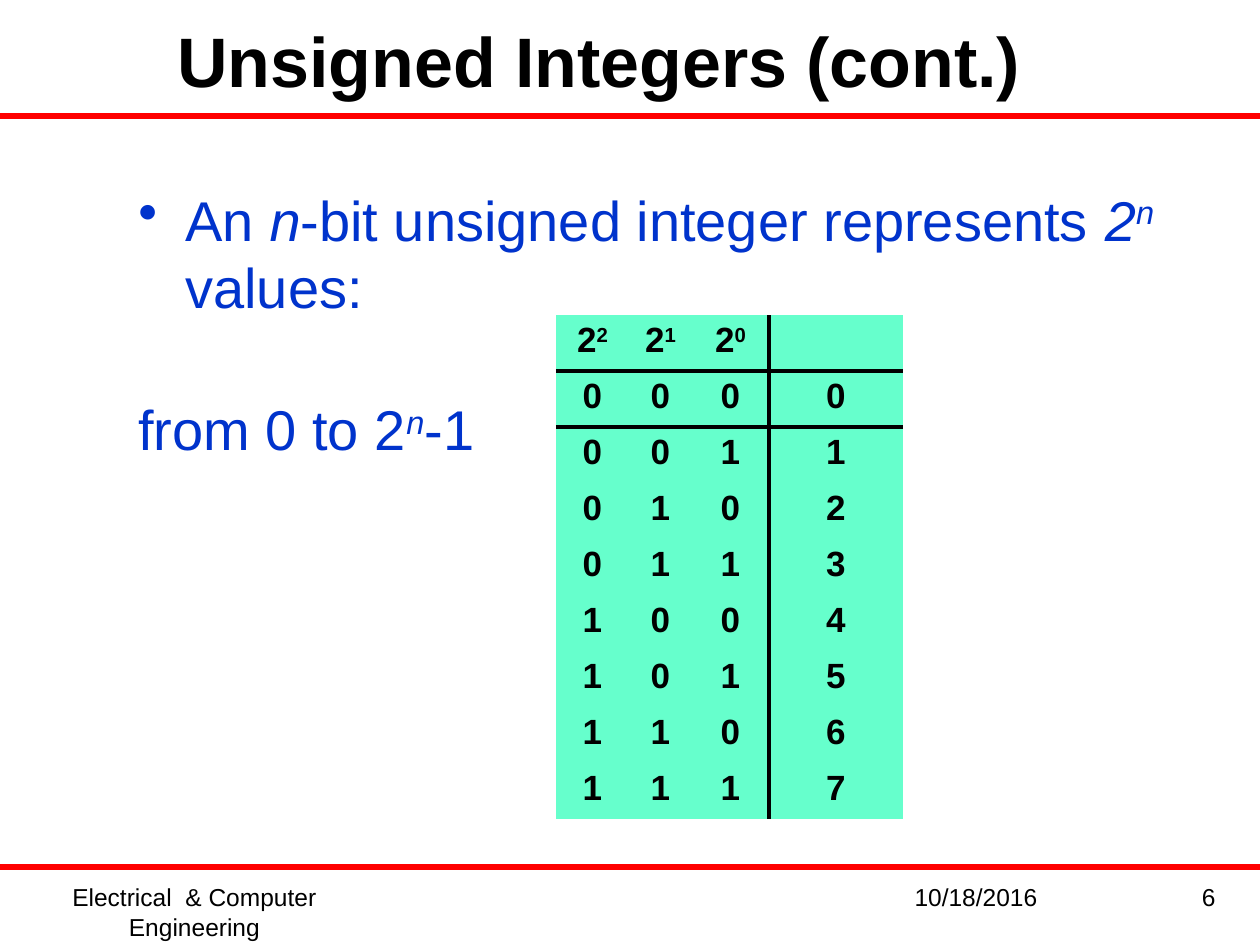
from dataclasses import dataclass, field
from itertools import product
from typing import Any

from lxml.etree import SubElement
from pptx import Presentation
from pptx.dml.color import RGBColor
from pptx.enum.shapes import MSO_CONNECTOR as Connector
from pptx.enum.text import MSO_ANCHOR as Anchor, MSO_AUTO_SIZE as AutoSize, PP_ALIGN as Align
from pptx.oxml import parse_xml
from pptx.oxml.ns import nsdecls, qn
from pptx.util import Emu, Pt

EMU_PER_PIXEL = 914400 / 126
BLACK = RGBColor(0x00, 0x00, 0x00)
RED = RGBColor(0xFF, 0x00, 0x00)
BLUE = RGBColor(0x00, 0x33, 0xCC)
MINT = RGBColor(0x66, 0xFF, 0xCC)
FONT = "Arial"
NO_STYLE = "{2D5ABB26-0587-4C30-8999-92F81FD0307C}"


@dataclass(frozen=True)
class Run:
    text: str
    italic: bool = False
    raised: bool = False


@dataclass(frozen=True)
class Box:
    left: int
    top: int
    width: int
    height: int


@dataclass(frozen=True)
class FooterItem:
    text: str
    box: Box
    align: Align


@dataclass(frozen=True)
class Style:
    size: int
    color: RGBColor = BLACK
    bold: bool = False
    paragraph: dict[str, Any] = field(default_factory=dict)


def px(pixels: float) -> Emu:
    return Emu(round(pixels * EMU_PER_PIXEL))


def apply(target: Any, values: dict[str, Any]) -> None:
    for name, value in values.items():
        setattr(target, name, value)


def place(box: Box) -> tuple[Emu, Emu, Emu, Emu]:
    return px(box.left), px(box.top), px(box.width), px(box.height)


def write(paragraph: Any, runs: list[Run], style: Style) -> None:
    apply(paragraph, style.paragraph)
    for part in runs:
        run = paragraph.add_run()
        run.text = part.text
        apply(run.font, {"name": FONT, "size": Pt(style.size),
                         "bold": style.bold, "italic": part.italic})
        run.font.color.rgb = style.color
        if part.raised:
            run.font._element.set("baseline", "30000")


def add_text_frame(slide: Any, box: Box) -> Any:
    frame = slide.shapes.add_textbox(*place(box)).text_frame
    apply(frame, {"word_wrap": True, "auto_size": AutoSize.NONE})
    return frame


def add_rule(slide: Any, y: int) -> None:
    rule = slide.shapes.add_connector(Connector.STRAIGHT, 0, px(y), px(1260), px(y))
    rule.line.color.rgb = RED
    rule.line.width = Pt(3.5)
    SubElement(rule._element.spPr, qn("a:effectLst"))


def add_title(slide: Any, text: str) -> None:
    title = slide.shapes.title
    box = place(Box(32, 21, 1134, 78))
    apply(title, dict(zip(("left", "top", "width", "height"), box)))
    apply(title.text_frame, {"word_wrap": True, "auto_size": AutoSize.NONE,
                             "vertical_anchor": Anchor.MIDDLE})
    write(title.text_frame.paragraphs[0], [Run(text)],
          Style(40, bold=True, paragraph={"alignment": Align.CENTER}))


def add_statement(slide: Any) -> None:
    frame = add_text_frame(slide, Box(126, 179, 1134, 624))
    claim, value_range = frame.paragraphs[0], frame.add_paragraph()
    write(claim, [Run("An "), Run("n", italic=True),
                  Run("-bit unsigned integer represents "), Run("2", italic=True),
                  Run("n", italic=True, raised=True), Run(" values:")], Style(32, BLUE))
    write(value_range, [Run("from 0 to 2"), Run("n", italic=True, raised=True), Run("-1")],
          Style(32, BLUE, paragraph={"space_before": Pt(43)}))
    for paragraph, bullet in ((claim, True), (value_range, False)):
        properties = paragraph._p.get_or_add_pPr()
        properties.set("marL", str(px(47)))
        properties.set("indent", str(-px(47)))
        if bullet:
            SubElement(properties, qn("a:buChar")).set("char", "\u2022")
        else:
            SubElement(properties, qn("a:buNone"))


def add_borders(cell: Any, sides: str) -> None:
    properties = cell._tc.get_or_add_tcPr()
    for position, side in enumerate(sides):
        properties.insert(position, parse_xml(
            f'<a:ln{side} {nsdecls("a")} w="{Pt(2.25)}"><a:solidFill>'
            f'<a:srgbClr val="{BLACK}"/></a:solidFill></a:ln{side}>'))


def add_value_table(slide: Any) -> None:
    widths, bits = (73, 63, 77, 134), 3
    headings = [[Run("2"), Run(str(power), raised=True)] for power in reversed(range(bits))]
    rows = [headings + [[]]]
    for value, digits in enumerate(product("01", repeat=bits)):
        rows.append([[Run(text)] for text in (*digits, str(value))])

    holder = slide.shapes.add_table(len(rows), len(widths),
                                    *place(Box(556, 315, sum(widths), 504)))
    table = holder.table
    apply(table, {"first_row": False, "horz_banding": False})
    for style_id in holder._element.iter(qn("a:tableStyleId")):
        style_id.text = NO_STYLE
    for column, width in zip(table.columns, widths):
        column.width = px(width)

    style = Style(20, bold=True, paragraph={"alignment": Align.CENTER})
    for row_index, row in enumerate(rows):
        table.rows[row_index].height = px(56)
        for column_index, runs in enumerate(row):
            cell = table.cell(row_index, column_index)
            cell.fill.solid()
            cell.fill.fore_color.rgb = MINT
            write(cell.text_frame.paragraphs[0], runs, style)
            vertical = {bits - 1: "R", bits: "L"}.get(column_index, "")
            horizontal = {0: "B", 1: "T"}.get(row_index, "")
            add_borders(cell, vertical + horizontal)


FOOTER = (
    FooterItem("10/18/2016", Box(829, 876, 294, 66), Align.CENTER),
    FooterItem("6", Box(1155, 876, 73, 66), Align.RIGHT),
    FooterItem("Electrical  & Computer Engineering", Box(32, 876, 325, 66), Align.CENTER),
)


def main() -> None:
    deck = Presentation()
    apply(deck, {"slide_width": px(1260), "slide_height": px(945)})
    slide = deck.slides.add_slide(deck.slide_layouts.get_by_name("Title Only"))
    for y in (116, 867):
        add_rule(slide, y)
    add_title(slide, "Unsigned Integers (cont.)")
    add_statement(slide)
    add_value_table(slide)
    for item in FOOTER:
        write(add_text_frame(slide, item.box).paragraphs[0], [Run(item.text)],
              Style(14, paragraph={"alignment": item.align}))
    deck.save("out.pptx")


main()
